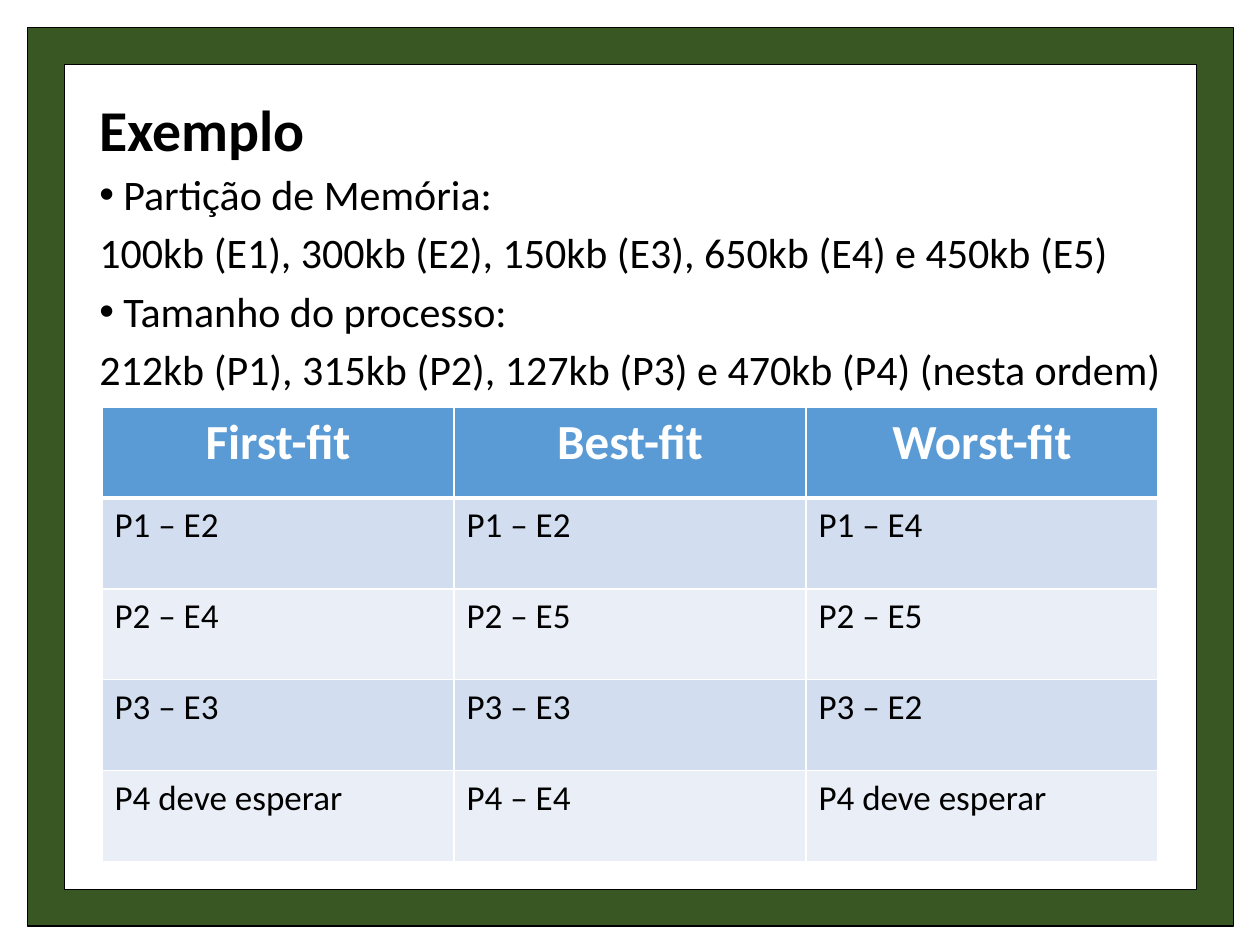
from dataclasses import dataclass

from lxml.etree import SubElement
from pptx import Presentation
from pptx.dml.color import RGBColor
from pptx.enum.shapes import MSO_SHAPE as Shape
from pptx.enum.text import MSO_ANCHOR as Anchor, PP_ALIGN as Align
from pptx.oxml.ns import qn
from pptx.util import Inches, Pt

WIDTH, HEIGHT = 10, 7.5


@dataclass(frozen=True)
class Theme:
    font: str = "Calibri"
    ink: str = "000000"
    paper: str = "FFFFFF"
    frame: str = "385723"
    header: str = "5B9BD5"
    bands: tuple = ("D2DEEF", "EAEFF7")
    title_size: float = 33
    body_size: float = 24
    header_size: float = 28
    cell_size: float = 20
    line_spacing: float = 0.9
    space_before: float = 7.5
    bullet_indent: float = 0.19


class SlideBuilder:
    """Holds the theme and the current slide; places are shares of the slide."""

    def __init__(self, deck, theme):
        self.deck, self.theme = deck, theme
        self.page = deck.slides.add_slide(deck.slide_layouts[5])

    def area(self, left, top, width, height):
        across, down = self.deck.slide_width, self.deck.slide_height
        return (round(left * across), round(top * down),
                round(width * across), round(height * down))

    def add_text(self, para, text, size, color=None, bold=False):
        span = para.add_run()
        span.text = text
        span.font.name = self.theme.font
        span.font.size = Pt(size)
        span.font.bold = bold
        span.font.color.rgb = RGBColor.from_string(color or self.theme.ink)

    def frame(self, place, thickness):
        border = self.page.shapes.add_shape(Shape.FRAME, *self.area(*place))
        border.adjustments[0] = thickness
        border.shadow.inherit = False
        border.fill.solid()
        border.fill.fore_color.rgb = RGBColor.from_string(self.theme.frame)
        border.line.color.rgb = RGBColor.from_string(self.theme.ink)
        border.line.width = Pt(0.75)

    def title(self, text, place):
        box = self.page.shapes.title
        box.left, box.top, box.width, box.height = self.area(*place)
        box.text_frame.vertical_anchor = Anchor.MIDDLE
        para = box.text_frame.paragraphs[0]
        para.alignment = Align.LEFT
        para.line_spacing = self.theme.line_spacing
        self.add_text(para, text, self.theme.title_size, bold=True)

    def bullet(self, para):
        props = para._p.get_or_add_pPr()
        indent = Inches(self.theme.bullet_indent)
        props.set("marL", str(indent))
        props.set("indent", str(-indent))
        SubElement(props, qn("a:buFont")).set("typeface", "Arial")
        SubElement(props, qn("a:buChar")).set("char", "•")

    def body(self, lines, place):
        box = self.page.shapes.add_textbox(*self.area(*place))
        box.text_frame.word_wrap = True
        box.text_frame.margin_right = 0
        for index, (text, bulleted) in enumerate(lines):
            para = box.text_frame.paragraphs[0] if index == 0 else box.text_frame.add_paragraph()
            para.line_spacing = self.theme.line_spacing
            para.space_before = Pt(self.theme.space_before)
            if bulleted:
                self.bullet(para)
            self.add_text(para, text, self.theme.body_size)

    def borders(self, cell, bottom):
        props = cell._tc.get_or_add_tcPr()
        widths = {"a:lnL": 1, "a:lnR": 1, "a:lnT": 1, "a:lnB": bottom}
        for index, (side, width) in enumerate(widths.items()):
            line = SubElement(props, qn(side))
            line.set("w", str(Pt(width)))
            fill = SubElement(line, qn("a:solidFill"))
            SubElement(fill, qn("a:srgbClr")).set("val", self.theme.paper)
            props.insert(index, line)  # lines come before the fill

    def table(self, rows, place):
        theme = self.theme
        grid = self.page.shapes.add_table(len(rows), len(rows[0]), *self.area(*place)).table
        for r, row in enumerate(rows):
            is_header = r == 0
            for c, text in enumerate(row):
                cell = grid.cell(r, c)
                cell.fill.solid()
                color = theme.header if is_header else theme.bands[(r - 1) % 2]
                cell.fill.fore_color.rgb = RGBColor.from_string(color)
                self.borders(cell, bottom=3 if is_header else 1)
                para = cell.text_frame.paragraphs[0]
                if is_header:
                    para.alignment = Align.CENTER
                    self.add_text(para, text, theme.header_size, theme.paper, bold=True)
                else:
                    self.add_text(para, text, theme.cell_size)


def main():
    deck = Presentation()
    deck.slide_width, deck.slide_height = Inches(WIDTH), Inches(HEIGHT)
    slide = SlideBuilder(deck, Theme())

    # Border around the page
    slide.frame((0.22 / WIDTH, 0.22 / HEIGHT, 9.57 / WIDTH, 7.13 / HEIGHT), thickness=0.041)

    # Heading and problem data
    left, width = 0.69 / WIDTH, 8.62 / WIDTH
    slide.title("Exemplo", (left, 0.53 / HEIGHT, width, 1.05 / HEIGHT))
    slide.body([
        ("Partição de Memória:", True),
        ("100kb (E1), 300kb (E2), 150kb (E3), 650kb (E4) e 450kb (E5)", False),
        ("Tamanho do processo:", True),
        ("212kb (P1), 315kb (P2), 127kb (P3) e 470kb (P4) (nesta ordem)", False),
    ], (left, 1.33 / HEIGHT, width, 5.43 / HEIGHT))

    # Allocation by strategy
    slide.table([
        ("First-fit", "Best-fit", "Worst-fit"),
        ("P1 – E2", "P1 – E2", "P1 – E4"),
        ("P2 – E4", "P2 – E5", "P2 – E5"),
        ("P3 – E3", "P3 – E3", "P3 – E2"),
        ("P4 deve esperar", "P4 – E4", "P4 deve esperar"),
    ], (0.81 / WIDTH, 3.23 / HEIGHT, 8.38 / WIDTH, 3.61 / HEIGHT))

    deck.save("out.pptx")


if __name__ == "__main__":
    main()
